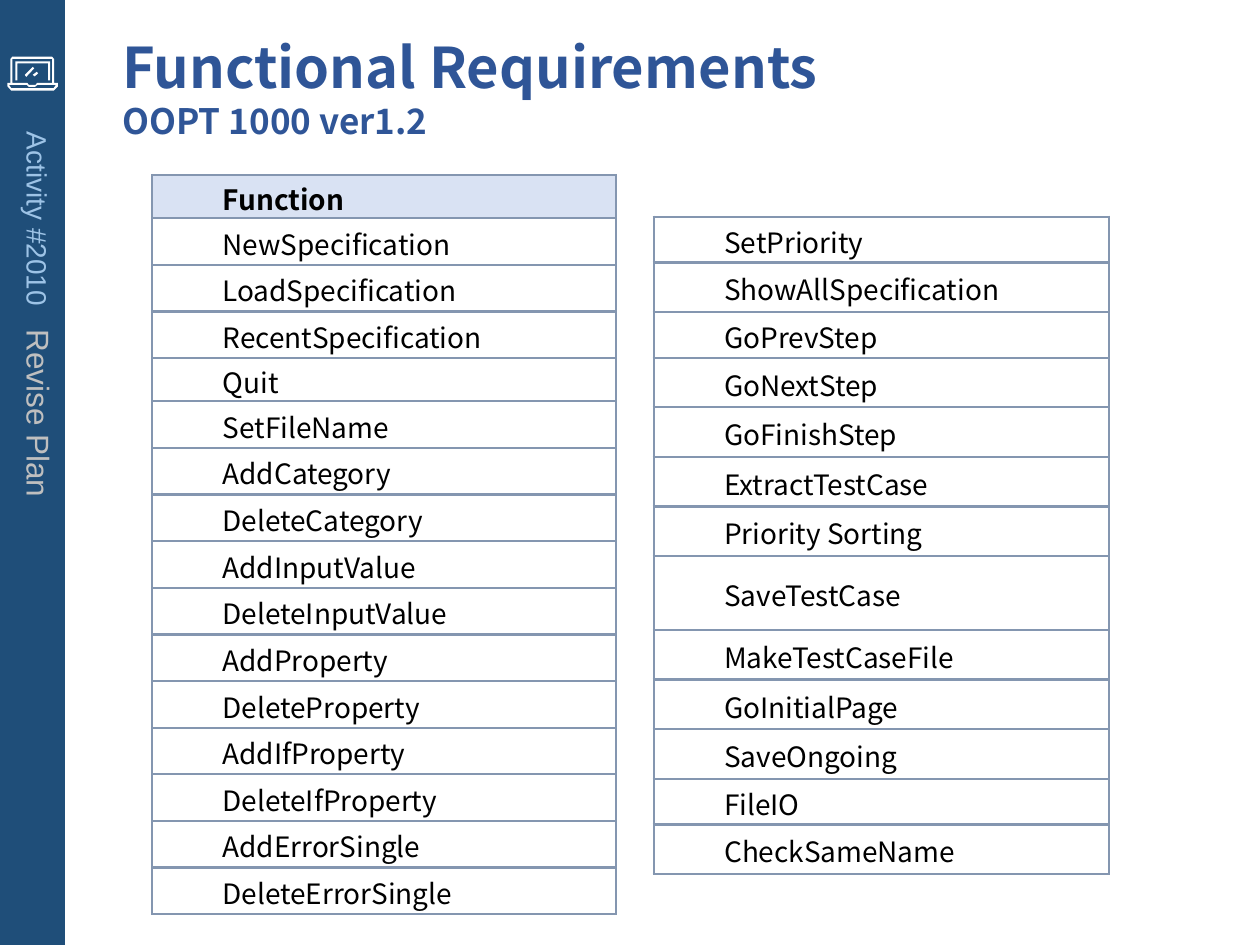
from dataclasses import dataclass

from lxml.etree import SubElement
from pptx import Presentation
from pptx.dml.color import RGBColor
from pptx.enum.shapes import MSO_SHAPE
from pptx.enum.text import MSO_ANCHOR, MSO_AUTO_SIZE, PP_ALIGN
from pptx.oxml.ns import qn
from pptx.util import Cm, Pt


@dataclass(frozen=True)
class Theme:
    bar: str = "1F4E79"
    white: str = "FFFFFF"
    title: str = "2F5597"
    activity: str = "9DC3E6"
    stage: str = "BFBFBF"
    header: str = "D9E2F3"
    border: str = "8496B0"
    text: str = "000000"
    font: str = "Noto Sans CJK KR"
    side_font: str = "Arial"
    title_size: int = 32
    subtitle_size: int = 20
    stage_size: int = 18
    body_size: int = 16


THEME = Theme()

# Row heights in cm; the dict names the rows that differ from the usual height
LEFT_ROWS = ["Function", "NewSpecification", "LoadSpecification",
             "RecentSpecification", "Quit", "SetFileName", "AddCategory",
             "DeleteCategory", "AddInputValue", "DeleteInputValue",
             "AddProperty", "DeleteProperty", "AddIfProperty",
             "DeleteIfProperty", "AddErrorSingle", "DeleteErrorSingle"]
LEFT_HEIGHTS = {"Function": 0.87, "Quit": 0.87}
RIGHT_ROWS = ["SetPriority", "ShowAllSpecification", "GoPrevStep",
              "GoNextStep", "GoFinishStep", "ExtractTestCase",
              "Priority Sorting", "SaveTestCase", "MakeTestCaseFile",
              "GoInitialPage", "SaveOngoing", "FileIO", "CheckSameName"]
RIGHT_HEIGHTS = {"SetPriority": 0.92, "GoPrevStep": 0.92,
                 "SaveTestCase": 1.49, "FileIO": 0.92}

# Laptop icon: one entry per shape, each a list of contours in 0.01 cm
LAPTOP = [
    # Screen bezel
    [[(31, 162), (31, 124), (101, 124), (101, 162),
      (97, 162), (97, 128), (35, 128), (35, 162)]],
    # Case, with the screen and the base cut out
    [[(25, 114), (105, 114), (109, 119), (109, 167), (117, 167), (117, 174),
      (108, 183), (23, 183), (15, 174), (15, 167), (21, 167), (21, 119)],
     [(25, 119), (105, 119), (105, 167), (75, 167),
      (72, 171), (58, 171), (55, 167), (25, 167)],
     [(18, 171), (54, 171), (58, 175), (71, 175),
      (76, 171), (113, 171), (108, 178), (23, 178)]],
    # Two glints
    [[(66, 135), (69, 138), (53, 155), (50, 151)]],
    [[(74, 145), (77, 148), (70, 154), (66, 151)]],
]


def set_attrs(obj, **values):
    for name, value in values.items():
        setattr(obj, name, value)


def add_run(p, text, size, color, font=THEME.font, bold=False):
    r = p.add_run()
    r.text = text
    set_attrs(r.font, size=Pt(size), name=font, bold=bold)
    r.font.color.rgb = RGBColor.from_string(color)
    return r


def paint(sp, color):
    sp.shadow.inherit = False
    sp.fill.solid()
    sp.fill.fore_color.rgb = RGBColor.from_string(color)
    sp.line.fill.background()


def add_outline(shapes, contours):
    first, *others = contours
    builder = shapes.build_freeform(*first[0], scale=Cm(0.01))
    builder.add_line_segments(first[1:])
    for points in others:
        builder.move_to(*points[0])
        builder.add_line_segments(points[1:])
    paint(builder.convert_to_shape(), THEME.white)


def add_sidebar(s):
    bar = s.shapes.add_shape(MSO_SHAPE.RECTANGLE, 0, 0, Cm(1.31), Cm(19.05))
    paint(bar, THEME.bar)
    icon = s.shapes.add_group_shape()
    for contours in LAPTOP:
        add_outline(icon.shapes, contours)

    # Vertical label
    sp = s.shapes.add_textbox(Cm(0.03), Cm(2.41), Cm(1.27), Cm(12.14))
    tf = sp.text_frame
    tf.word_wrap = True
    tf._txBody.bodyPr.set("vert", "eaVert")
    p = tf.paragraphs[0]
    label = dict(size=THEME.body_size, color=THEME.activity,
                 font=THEME.side_font)
    add_run(p, "Activity #2010", **label)
    gap = add_run(p, " ", **label)
    gap.font._element.set("spc", "900")
    add_run(p, "Revise Plan", THEME.stage_size, THEME.stage, THEME.side_font)


def add_title(s):
    sp = s.shapes.title
    set_attrs(sp, left=Cm(2.21), top=Cm(0.53), width=Cm(14.96),
              height=Cm(2.49))
    tf = sp.text_frame
    set_attrs(tf, word_wrap=True, auto_size=MSO_AUTO_SIZE.NONE,
              vertical_anchor=MSO_ANCHOR.TOP)
    lines = [("Functional Requirements", THEME.title_size),
             ("OOPT 1000 ver1.2", THEME.subtitle_size)]
    for i, (text, size) in enumerate(lines):
        p = tf.add_paragraph() if i else tf.paragraphs[0]
        p.alignment = PP_ALIGN.LEFT
        add_run(p, text, size, THEME.title, bold=True)


def format_cell(cell, text, is_header):
    set_attrs(cell, margin_left=0, margin_right=0, margin_top=0,
              margin_bottom=0, vertical_anchor=MSO_ANCHOR.MIDDLE)
    p = cell.text_frame.paragraphs[0]
    p.line_spacing = 1.07
    p._p.get_or_add_pPr().set("marL", str(Cm(1.42)))
    add_run(p, text, THEME.body_size, THEME.text, bold=is_header)

    # Borders come before the fill in the cell properties
    tcPr = cell._tc.get_or_add_tcPr()
    for side in ("a:lnL", "a:lnR", "a:lnT", "a:lnB"):
        ln = SubElement(tcPr, qn(side), w=str(Pt(1.5)))
        fill = SubElement(ln, qn("a:solidFill"))
        SubElement(fill, qn("a:srgbClr"), val=THEME.border)
    if is_header:
        cell.fill.solid()
        cell.fill.fore_color.rgb = RGBColor.from_string(THEME.header)
    else:
        cell.fill.background()


def add_function_table(s, names, left, top, width, usual, heights):
    row_heights = [Cm(heights.get(name, usual)) for name in names]
    table = s.shapes.add_table(len(names), 1, Cm(left), Cm(top), Cm(width),
                               sum(row_heights)).table
    set_attrs(table, first_row=False, horz_banding=False)
    for i, (name, height) in enumerate(zip(names, row_heights)):
        table.rows[i].height = height
        format_cell(table.cell(i, 0), name, name == "Function")


def main():
    prs = Presentation()
    set_attrs(prs, slide_width=Cm(25.4), slide_height=Cm(19.05))
    s = prs.slides.add_slide(prs.slide_layouts[5])
    add_sidebar(s)
    add_title(s)
    add_function_table(s, LEFT_ROWS, 3.07, 3.53, 9.35, 0.94, LEFT_HEIGHTS)
    add_function_table(s, RIGHT_ROWS, 13.18, 4.37, 9.17, 1, RIGHT_HEIGHTS)
    prs.save("out.pptx")


if __name__ == "__main__":
    main()
